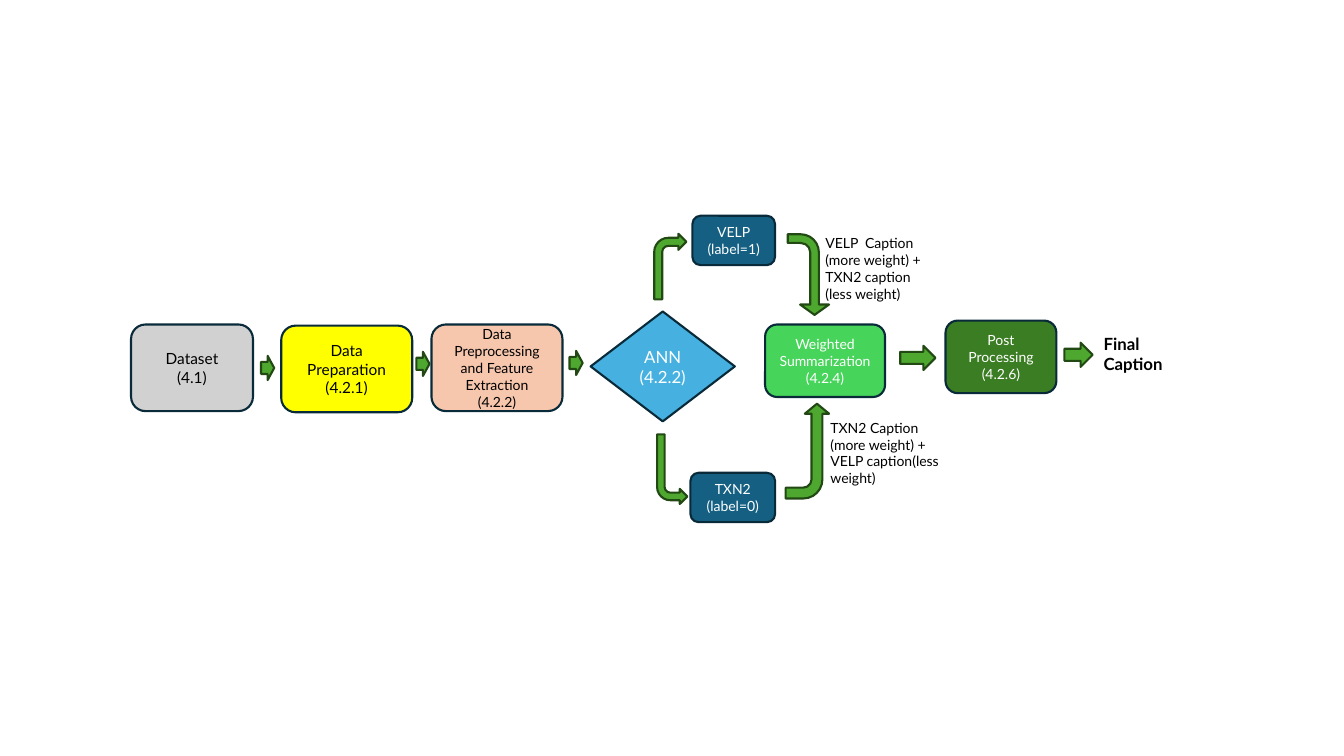
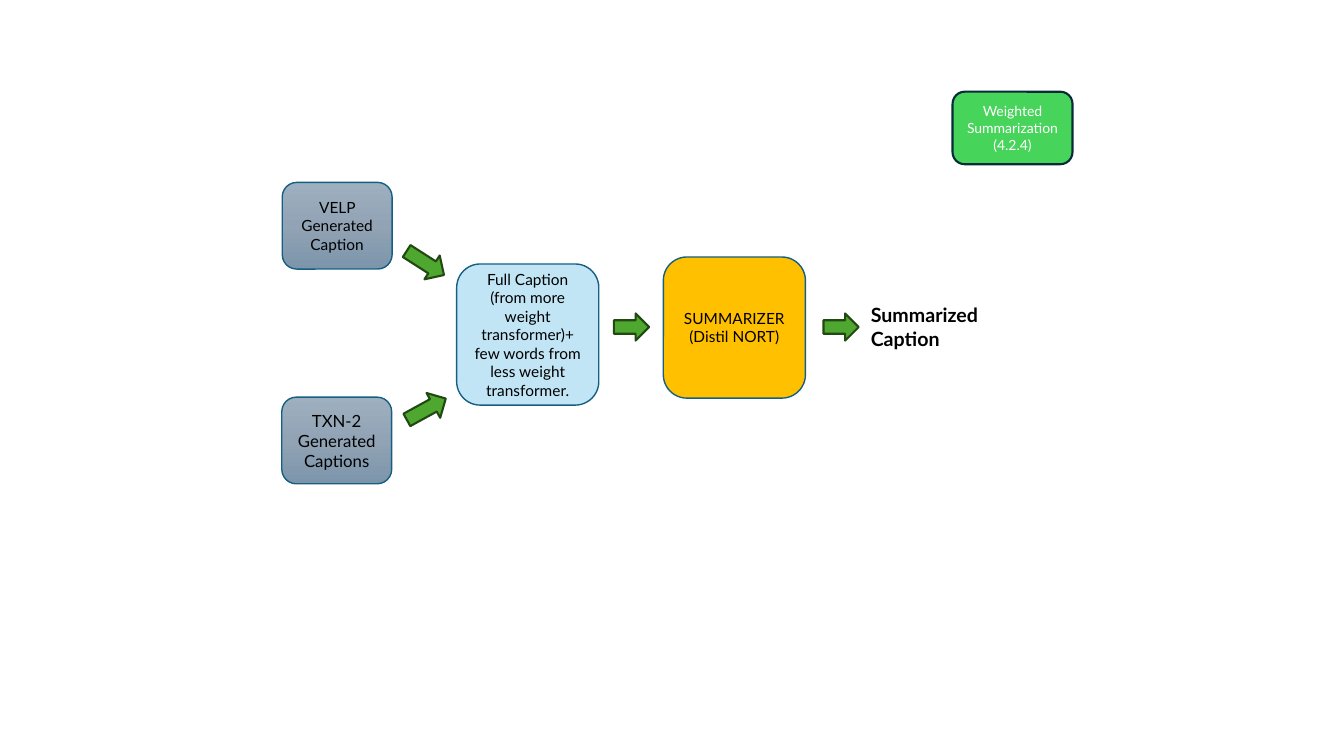
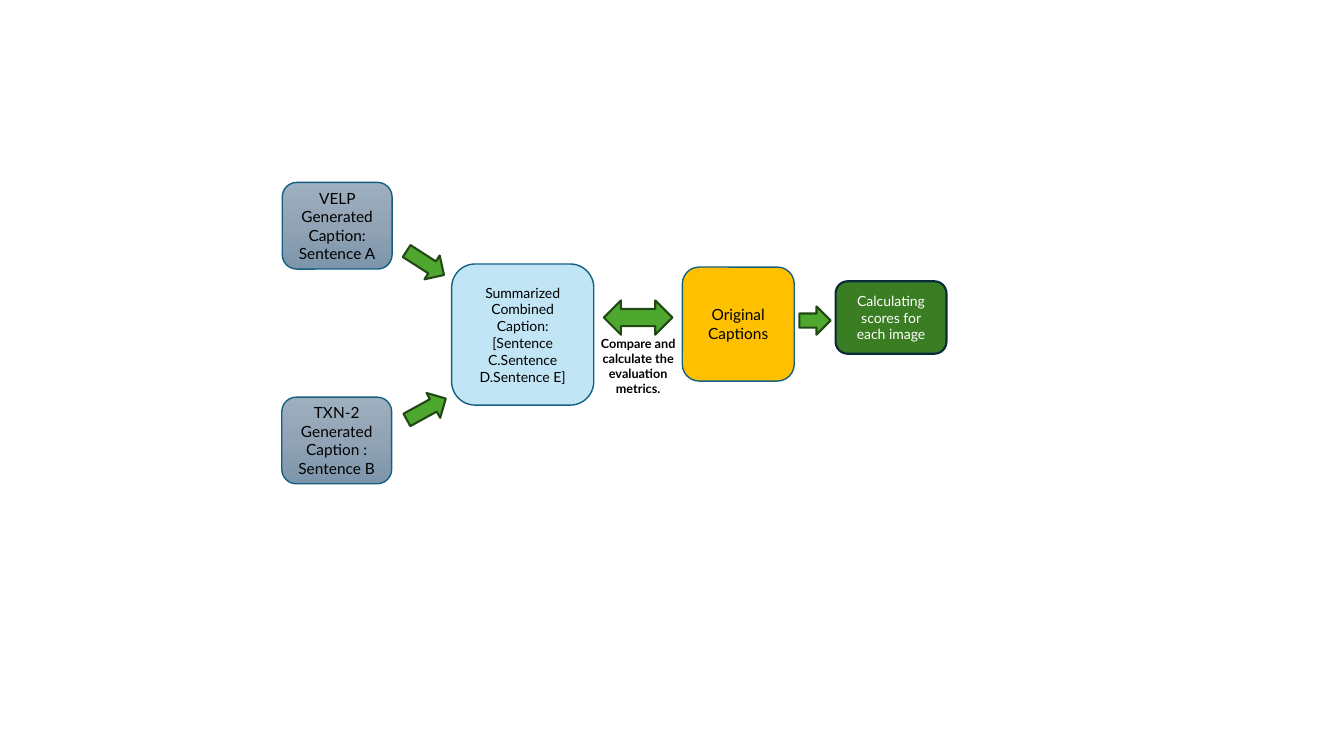
from copy import deepcopy

from pptx import Presentation
from pptx.dml.color import RGBColor
from pptx.enum.shapes import MSO_SHAPE
from pptx.enum.text import MSO_ANCHOR, MSO_AUTO_SIZE, PP_ALIGN
from pptx.util import Pt

ROUNDED = MSO_SHAPE.ROUNDED_RECTANGLE
DIAMOND = MSO_SHAPE.DIAMOND
RIGHT_ARROW = MSO_SHAPE.RIGHT_ARROW
DOUBLE_ARROW = MSO_SHAPE.LEFT_RIGHT_ARROW
BENT_ARROW = MSO_SHAPE.BENT_ARROW
LEFT, CENTER = PP_ALIGN.LEFT, PP_ALIGN.CENTER
TOP, MIDDLE = MSO_ANCHOR.TOP, MSO_ANCHOR.MIDDLE
FIT_TEXT = MSO_AUTO_SIZE.SHAPE_TO_FIT_TEXT
FONT = "Lato"
COLORS = {
    "black": "000000", "white": "FFFFFF", "navy": "092A39", "teal": "156082",
    "gray": "D1D1D1", "yellow": "FFFF00", "peach": "F6C6AD", "blue": "46B1E1",
    "lime": "47D45A", "forest": "3B7D23", "arrow": "4EA72E", "arrow_edge": "224914",
    "pale": "C1E5F5", "gold": "FFC000",
    "steel_top": "9EAFBF", "steel_middle": "91A3B4", "steel_bottom": "7C95AB",
}
COLORS = {name: RGBColor.from_string(value) for name, value in COLORS.items()}


def write(shape, text, size=10, color="black", bold=False, align=CENTER, anchor=MIDDLE):
    frame = shape.text_frame
    frame.word_wrap = True
    frame.vertical_anchor = anchor
    frame.text = text
    for paragraph in frame.paragraphs:
        paragraph.alignment = align
        font = paragraph.runs[0].font
        font.name, font.size, font.bold = FONT, Pt(size), bold
        font.color.rgb = COLORS[color]


def draw(slide, kind, frame, fill="arrow", line="arrow_edge", width=1.5,
         rotation=0, flip=False, adjustments=()):
    shape = slide.shapes.add_shape(kind, *[Pt(length) for length in frame])
    shape.shadow.inherit = False
    shape.rotation = rotation
    if flip:
        shape.element.spPr.xfrm.set("flipH", "1")
    for index, value in enumerate(adjustments):
        shape.adjustments[index] = value
    if fill == "steel":
        shape.fill.gradient()
        shape.fill.gradient_angle = 270
        first = shape.element.spPr.gradFill.gsLst[0]
        middle = deepcopy(first)
        first.addnext(middle)
        for stop, position, shade in zip(shape.fill.gradient_stops, (0, 0.5, 1),
                                         ("top", "middle", "bottom")):
            stop.position = position
            stop.color.rgb = COLORS["steel_" + shade]
    else:
        shape.fill.solid()
        shape.fill.fore_color.rgb = COLORS[fill]
    shape.line.color.rgb = COLORS[line]
    shape.line.width = Pt(width)
    return shape


presentation = Presentation()
presentation.slide_width, presentation.slide_height = Pt(960), Pt(540)
blank_layout = presentation.slide_layouts[6]
pipeline, summary, evaluation = [
    presentation.slides.add_slide(blank_layout) for _ in range(3)]

dark_boxes = [
    (pipeline, ROUNDED, (93.6, 231.8, 87.1, 61.9), "gray", "Dataset\n(4.1)", 11, "black"),
    (pipeline, ROUNDED, (200.9, 232.6, 93.6, 61.9), "yellow",
     "Data Preparation\n(4.2.1)", 11, "black"),
    (pipeline, ROUNDED, (308.2, 231.8, 93.6, 61.9), "peach",
     "Data Preprocessing and Feature Extraction\n(4.2.2)", 10, "black"),
    (pipeline, DIAMOND, (421.9, 222.5, 103, 78.5), "blue", "ANN\n(4.2.2)", 12, "white"),
    (pipeline, ROUNDED, (494.6, 154.1, 59, 35.3), "teal", "VELP\n(label=1)", 10, "white"),
    (pipeline, ROUNDED, (493.2, 337.7, 60.5, 35.3), "teal", "TXN2 (label=0)", 10, "white"),
    (pipeline, ROUNDED, (546.5, 231.8, 85.7, 51.8), "lime",
     "Weighted Summarization\n(4.2.4)", 10, "white"),
    (pipeline, ROUNDED, (675.4, 229, 79.2, 51.8), "forest",
     "Post Processing\n(4.2.6)", 10, "white"),
    (summary, ROUNDED, (680.4, 65.5, 85.7, 51.8), "lime",
     "Weighted Summarization\n(4.2.4)", 10, "white"),
    (evaluation, ROUNDED, (596.9, 200.9, 79.2, 51.8), "forest",
     "Calculating scores for each image", 10, "white"),
]
for slide, kind, frame, fill, text, size, color in dark_boxes:
    write(draw(slide, kind, frame, fill, "navy"), text, size=size, color=color)

caption_boxes = [
    (summary, (201.6, 130.3, 78.5, 61.9), "steel", "VELP Generated Caption", 11, ()),
    (summary, (201.3, 283.7, 78.5, 61.9), "steel", "TXN-2 Generated Captions", 12, ()),
    (summary, (326.2, 188.6, 101.5, 100.8), "pale",
     "Full Caption (from more weight transformer)+ few words from less weight transformer.",
     11, ()),
    (summary, (473.8, 183.6, 101.5, 100.8), "gold", "SUMMARIZER\n(Distil NORT)", 11, ()),
    (evaluation, (201.6, 130.3, 78.5, 61.9), "steel",
     "VELP Generated Caption:\nSentence A", 11, ()),
    (evaluation, (201.3, 283.7, 78.5, 61.9), "steel",
     "TXN-2 Generated Caption : Sentence B", 11, ()),
    (evaluation, (322.6, 188.6, 101.5, 100.8), "pale",
     "Summarized Combined Caption: [Sentence C.Sentence D.Sentence E]", 10, ()),
    (evaluation, (487.4, 190.8, 79.9, 81.4), "gold", "Original Captions", 11, (0.15,)),
]
for slide, frame, fill, text, size, adjustments in caption_boxes:
    box = draw(slide, ROUNDED, frame, fill, "teal", 1, adjustments=adjustments)
    write(box, text, size=size)

straight_arrows = [
    (pipeline, (186.5, 254.2, 9.4, 17.3)),
    (pipeline, (297.4, 251.3, 9.4, 17.3)),
    (pipeline, (406.8, 250.6, 9.4, 17.3)),
    (pipeline, (643, 247, 25.2, 17.3)),
    (pipeline, (760.3, 244.8, 20.2, 17.3)),
    (summary, (438.5, 223.9, 25.2, 19.4)),
    (summary, (588.2, 223.9, 25.2, 19.4)),
    (evaluation, (571, 218.9, 22.3, 20.2)),
]
for slide, frame in straight_arrows:
    draw(slide, RIGHT_ARROW, frame)

bent_arrows = [
    ((467.3, 167, 23, 46.8), 0, False, ()),
    ((469.4, 310.3, 21.6, 49.7), 180, True, ()),
    ((548.6, 181.4, 57.6, 29.5), 90, False, (0.21, 0.35, 0.25, 0.44)),
    ((542.9, 306.7, 67.7, 31), 90, True, (0.25, 0.28, 0.23, 0.44)),
]
for frame, rotation, flip, adjustments in bent_arrows:
    draw(pipeline, BENT_ARROW, frame, rotation=rotation, flip=flip, adjustments=adjustments)

for slide in (summary, evaluation):
    draw(slide, RIGHT_ARROW, (288, 177.8, 31.7, 20.2), rotation=32.7)
    draw(slide, RIGHT_ARROW, (288.7, 282.2, 31.7, 20.2), rotation=331.2)
draw(evaluation, DOUBLE_ARROW, (431.3, 214.6, 49, 24.5))

labels = [
    (pipeline, (781.2, 234.7, 61.2, 36), "Final\nCaption", 12, True, LEFT),
    (pipeline, (582.5, 164.2, 88.6, 55.4),
     "VELP  Caption (more weight) + TXN2 caption (less weight)", 10, False, LEFT),
    (pipeline, (586.1, 295.9, 94.3, 55.4),
     "TXN2 Caption (more weight) + VELP caption(less weight)", 10, False, LEFT),
    (summary, (614.9, 213.1, 143.3, 41), "Summarized\nCaption", 14, True, LEFT),
    (evaluation, (420.5, 236.2, 70.6, 51.1),
     "Compare and calculate the evaluation metrics.", 9, True, CENTER),
]
for slide, frame, text, size, bold, align in labels:
    label = slide.shapes.add_textbox(*[Pt(length) for length in frame])
    write(label, text, size=size, bold=bold, align=align, anchor=TOP)
    label.text_frame.auto_size = FIT_TEXT

presentation.save("out.pptx")
